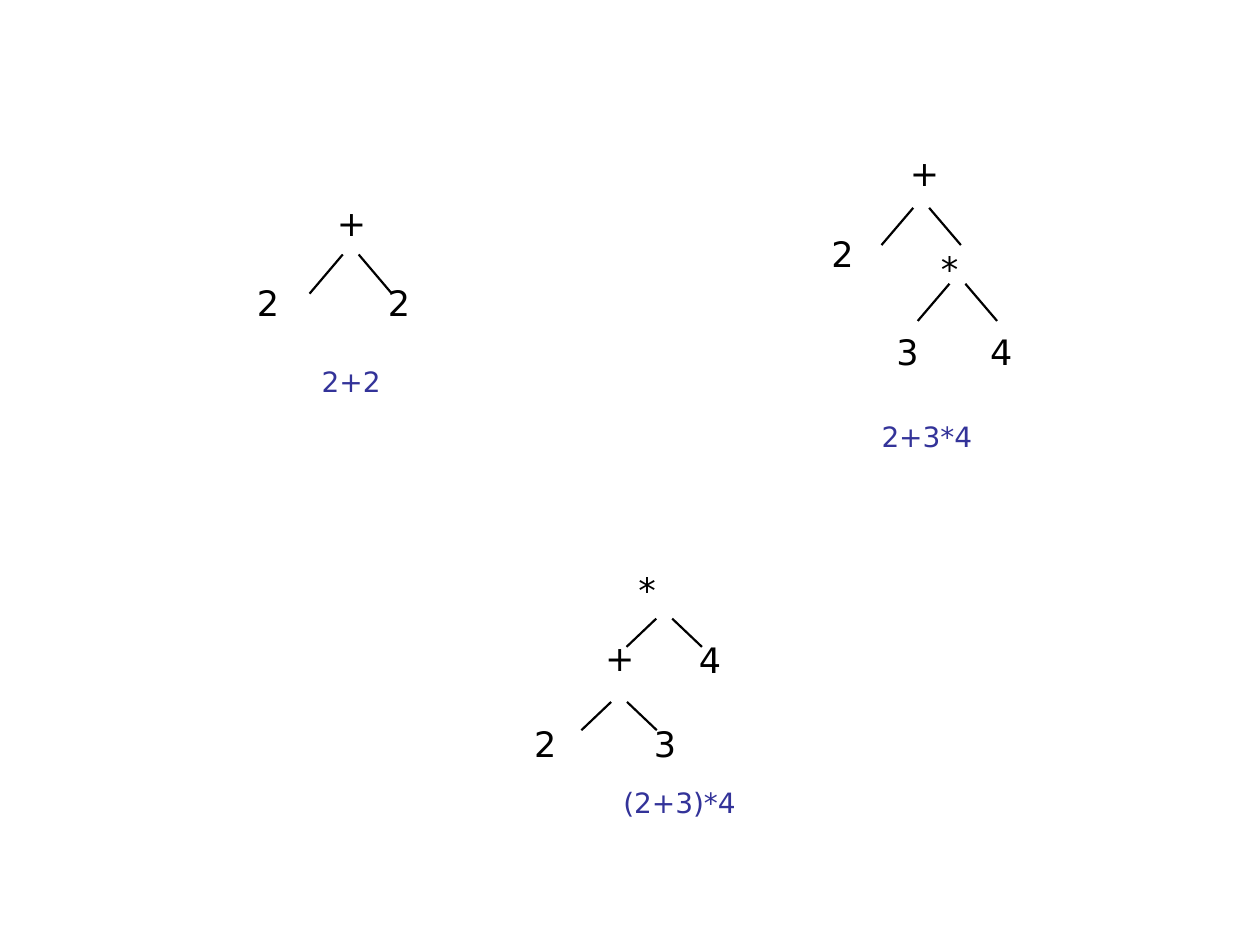
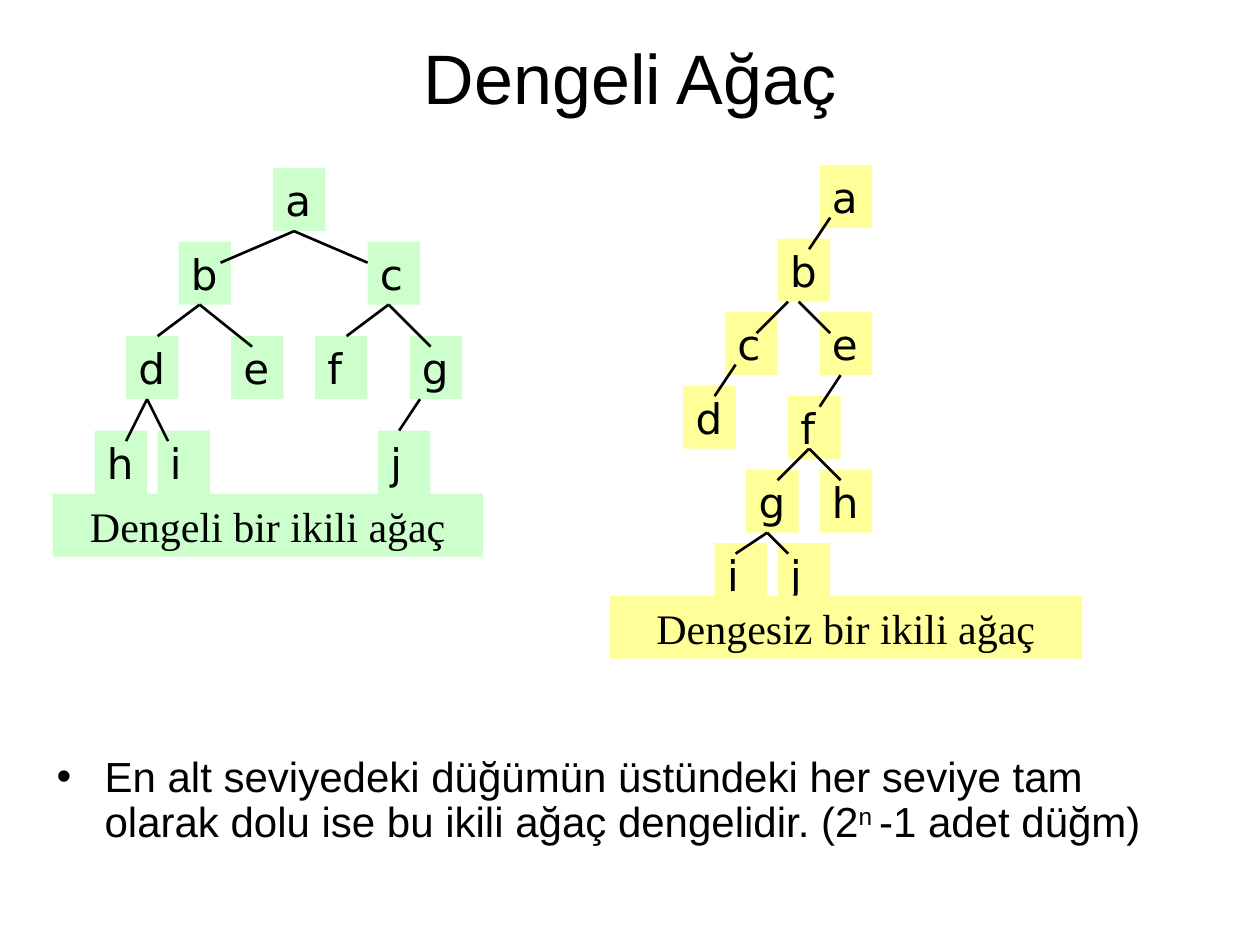
from dataclasses import dataclass

from lxml.etree import SubElement
from pptx import Presentation
from pptx.dml.color import RGBColor as Rgb
from pptx.enum.shapes import MSO_CONNECTOR as Connector, MSO_SHAPE as Preset
from pptx.enum.text import MSO_ANCHOR as Anchor, MSO_AUTO_SIZE as AutoSize, PP_ALIGN as Align
from pptx.oxml.ns import qn
from pptx.util import Cm, Pt


@dataclass(frozen=True)
class Theme:
    ink: Rgb = Rgb.from_string("000000")
    formula: Rgb = Rgb.from_string("333399")
    balanced: Rgb = Rgb.from_string("CCFFCC")
    unbalanced: Rgb = Rgb.from_string("FFFF99")
    node_font: str = "DejaVu Sans"
    caption_font: str = "Times New Roman"
    text_font: str = "Arial"
    title_size: int = 40
    body_size: int = 24
    operator_size: int = 20
    formula_size: int = 16
    thin: float = 1.25
    thick: float = 1.5


theme = Theme()


def write(shape, *runs, size, font=theme.node_font, color=theme.ink,
          align=Align.LEFT, anchor=Anchor.TOP, bullet=None, indent=0,
          spacing=None, raised=()):
    frame = shape.text_frame
    frame.word_wrap = True
    frame.auto_size = AutoSize.NONE
    frame.vertical_anchor = anchor
    frame.margin_left = frame.margin_right = Cm(0.25)
    frame.margin_top = frame.margin_bottom = Cm(0.13)
    paragraph = frame.paragraphs[0]
    paragraph.alignment = align
    if spacing:
        paragraph.line_spacing = spacing
    if bullet:
        properties = paragraph._p.get_or_add_pPr()
        properties.set("marL", str(Cm(indent)))
        properties.set("indent", str(-Cm(indent)))
        SubElement(properties, qn("a:buFont")).set("typeface", font)
        SubElement(properties, qn("a:buChar")).set("char", bullet)
    for text in runs:
        run = paragraph.add_run()
        run.text = text
        run.font.size = Pt(size)
        run.font.name = font
        run.font.color.rgb = color
        if text in raised:
            run._r.get_or_add_rPr().set("baseline", "30000")


def link(tree, start, end, width):
    branch = tree.shapes.add_connector(Connector.STRAIGHT, *map(Cm, start + end))
    branch.line.color.rgb = theme.ink
    branch.line.width = Pt(width)
    SubElement(branch._element.spPr, qn("a:effectLst"))


deck = Presentation()
deck.slide_width, deck.slide_height = Cm(25.4), Cm(19.05)

expressions = deck.slides.add_slide(deck.slide_layouts[6])
node_height, fork_gap = 1.12, 0.16
formulas = [
    {
        "nodes": [("+", 6.1, 3.94, 1.98, Align.CENTER),
                  ("2", 4.93, 5.54, 1.98, Align.LEFT),
                  ("2", 7.57, 5.54, 1.98, Align.LEFT)],
        "forks": [(7.07, 5.13)], "reach": 0.83, "drop": 0.79,
        "formula": ("2+2", 2.29, 7.21, 9.58),
    },
    {
        "nodes": [("+", 17.7, 2.92, 1.88, Align.CENTER),
                  ("2", 16.51, 4.55, 1.88, Align.LEFT),
                  ("*", 18.72, 4.85, 0.99, Align.LEFT),
                  ("3", 17.7, 6.53, 1.19, Align.CENTER),
                  ("4", 19.71, 6.53, 1.88, Align.LEFT)],
        "forks": [(18.57, 4.19), (19.3, 5.72)], "reach": 0.8, "drop": 0.75,
        "formula": ("2+3*4", 16.69, 8.33, 3.99),
    },
    {
        "nodes": [("*", 12.62, 11.33, 1.8, Align.LEFT),
                  ("4", 13.84, 12.75, 1.8, Align.LEFT),
                  ("+", 11.95, 12.7, 1.8, Align.LEFT),
                  ("2", 10.52, 14.43, 1.8, Align.LEFT),
                  ("3", 12.93, 14.43, 1.8, Align.LEFT)],
        "forks": [(13.39, 12.47), (12.48, 14.15)], "reach": 0.76, "drop": 0.57,
        "formula": ("(2+3)*4", 8.71, 15.7, 9.98),
    },
]
for entry in formulas:
    tree = expressions.shapes.add_group_shape()
    for symbol, left, top, width, align in entry["nodes"]:
        node = tree.shapes.add_textbox(Cm(left), Cm(top), Cm(width), Cm(node_height))
        write(node, symbol, size=theme.operator_size, align=align)
    for center, top in entry["forks"]:
        for side in (-1, 1):
            link(tree, (center + side * entry["reach"], top + entry["drop"]),
                 (center + side * fork_gap, top), theme.thin)
    text, left, top, width = entry["formula"]
    formula = tree.shapes.add_textbox(Cm(left), Cm(top), Cm(width), Cm(0.94))
    write(formula, text, size=theme.formula_size, color=theme.formula, align=Align.CENTER)

balance = deck.slides.add_slide(deck.slide_layouts[5])
title = balance.shapes.title
title.left, title.top, title.width, title.height = Cm(1.27), Cm(0.76), Cm(22.86), Cm(1.55)
write(title, "Dengeli Ağaç", size=theme.title_size, font=theme.text_font,
      align=Align.CENTER, anchor=Anchor.MIDDLE)

definition = balance.shapes.add_textbox(Cm(0.89), Cm(15.11), Cm(22.86), Cm(2.18))
write(definition,
      "En alt seviyedeki düğümün üstündeki her seviye tam olarak dolu ise "
      "bu ikili ağaç dengelidir. (2", "n ", "-1 adet düğm)",
      size=theme.body_size, font=theme.text_font, bullet="•", indent=0.97,
      spacing=0.9, raised=("n ",))

step = 2.54 / 12
node_columns, node_rows = 5, 6
binary_trees = [
    {
        "origin": (1.06, 3.39), "fill": theme.balanced,
        "nodes": {"a": (21, 0), "b": (12, 7), "c": (30, 7), "d": (7, 16), "e": (17, 16),
                  "f": (25, 16), "g": (34, 16), "h": (4, 25), "i": (10, 25), "j": (31, 25)},
        "branches": {(23, 6): [(16, 9), (30, 9)], (14, 13): [(10, 16), (19, 17)],
                     (32, 13): [(28, 16), (36, 17)], (9, 22): [(7, 26), (11, 26)],
                     (35, 22): [(33, 25)]},
        "caption": ("Dengeli bir ikili ağaç", 31, 41),
    },
    {
        "origin": (12.29, 3.33), "fill": theme.unbalanced,
        "nodes": {"a": (20, 0), "b": (16, 7), "c": (11, 14), "d": (7, 21), "e": (20, 14),
                  "f": (17, 22), "g": (13, 29), "h": (20, 29), "i": (10, 36), "j": (16, 36)},
        "branches": {(21, 5): [(19, 8)], (17, 13): [(14, 16)], (12, 19): [(10, 22)],
                     (18, 13): [(21, 16)], (22, 20): [(20, 23)],
                     (19, 27): [(16, 30), (22, 30)], (15, 35): [(12, 37), (17, 37)]},
        "caption": ("Dengesiz bir ikili ağaç", 41, 45),
    },
]
for entry in binary_trees:
    tree = balance.shapes.add_group_shape()
    x, y = entry["origin"]
    caption, caption_row, caption_columns = entry["caption"]
    labels = [(letter, column, row, node_columns, theme.node_font, Align.LEFT)
              for letter, (column, row) in entry["nodes"].items()]
    labels.append((caption, 0, caption_row, caption_columns, theme.caption_font, Align.CENTER))
    for text, column, row, columns, font, align in labels:
        if text == caption:
            for parent, children in entry["branches"].items():
                for child in children:
                    start, end = ((x + c * step, y + r * step) for c, r in (parent, child))
                    link(tree, start, end, theme.thick)
        label = tree.shapes.add_shape(Preset.RECTANGLE, Cm(x + column * step), Cm(y + row * step),
                                      Cm(columns * step), Cm(node_rows * step))
        label.shadow.inherit = False
        label.fill.solid()
        label.fill.fore_color.rgb = entry["fill"]
        label.line.fill.background()
        write(label, text, size=theme.body_size, font=font, align=align)

deck.save("out.pptx")
